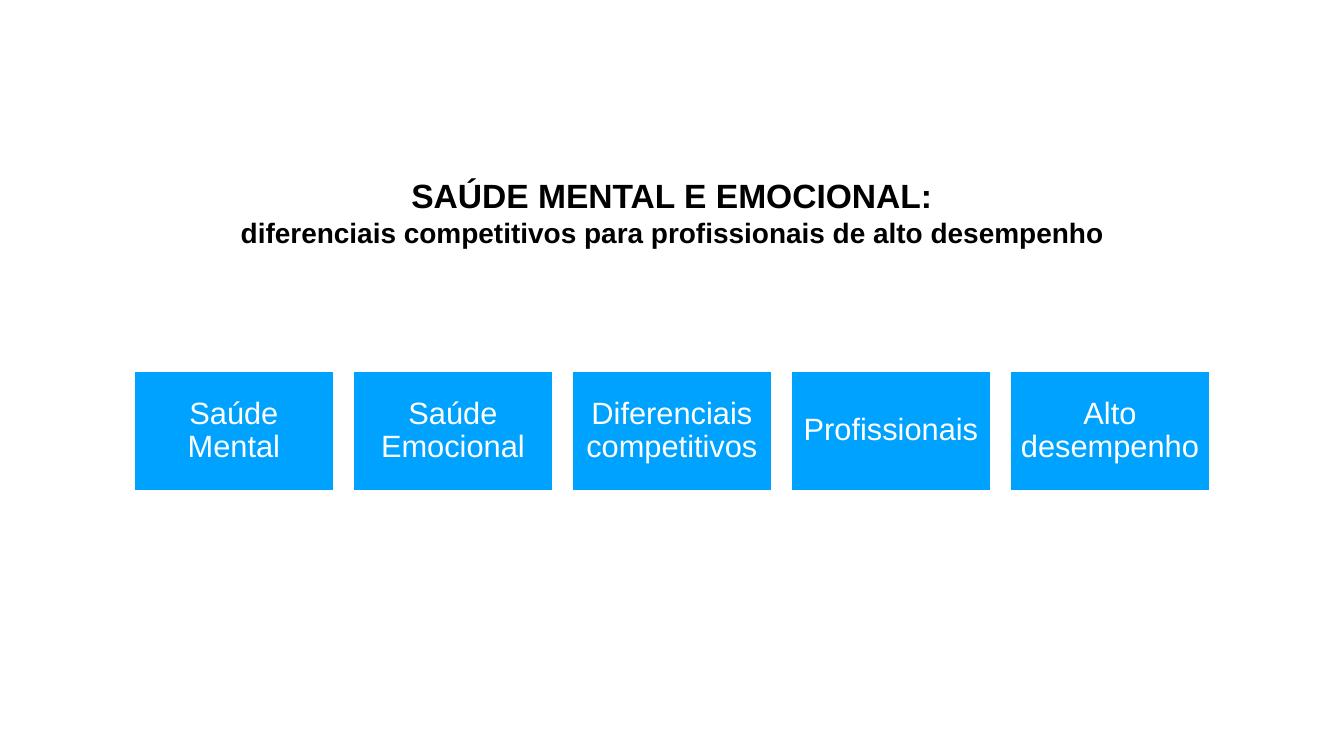
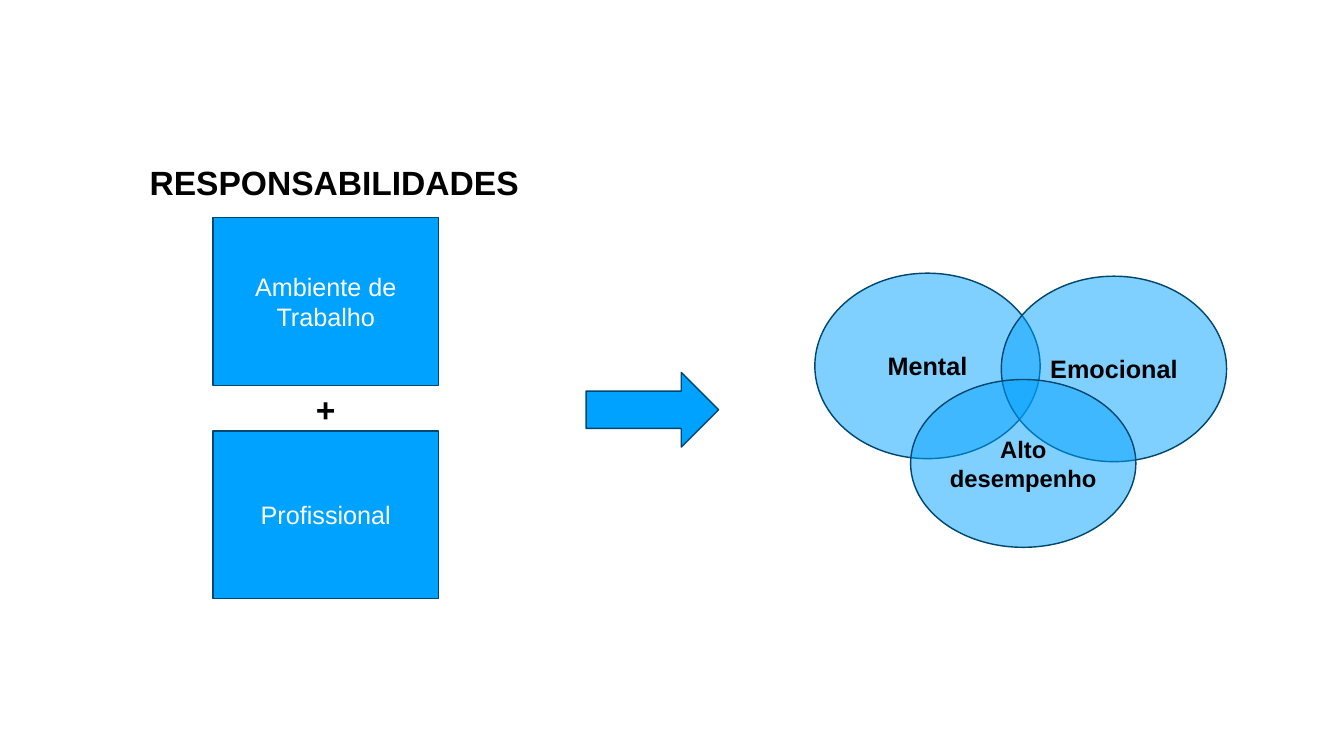
from dataclasses import dataclass
from lxml import etree
from pptx import Presentation
from pptx.dml.color import RGBColor
from pptx.enum.shapes import MSO_SHAPE
from pptx.enum.text import MSO_ANCHOR, PP_ALIGN
from pptx.oxml.ns import qn
from pptx.util import Inches, Pt

RECT, OVAL, ARROW = MSO_SHAPE.RECTANGLE, MSO_SHAPE.OVAL, MSO_SHAPE.RIGHT_ARROW
TOP, MIDDLE, CENTER = MSO_ANCHOR.TOP, MSO_ANCHOR.MIDDLE, PP_ALIGN.CENTER
WIDE, HIGH = 26.67, 15


@dataclass(frozen=True)
class Theme:
    font: str = "Arial"
    blue: str = "00A2FF"
    navy: str = "004770"
    white: str = "FFFFFF"
    black: str = "000000"
    title: int = 48
    sub: int = 40
    tile: int = 44
    label: int = 36
    small: int = 34
    line: int = 2


THEME = Theme()

TITLE = [
    ("SAÚDE MENTAL E EMOCIONAL:", THEME.title),
    ("diferenciais competitivos para profissionais de alto desempenho", THEME.sub),
]
TILES = [
    "Saúde Mental",
    "Saúde Emocional",
    "Diferenciais competitivos",
    "Profissionais",
    "Alto desempenho",
]
DUTIES = ["Ambiente de Trabalho", "Profissional"]
HEAD, PLUS = "RESPONSABILIDADES", "+"
CIRCLES = [
    ("Mental", THEME.label, 16.17, 5.42, 3.68),
    ("Emocional", THEME.label, 19.87, 5.48, 3.68),
    ("Alto desempenho", THEME.small, 18.07, 7.53, 3.33),
]
BOX_W, BOX_H = 4.47, 3.33
BOX_X, BOX_Y, STEP = 4.23, 4.32, 4.23


def write(shape, lines, color=THEME.black, bold=True, anchor=MIDDLE,
          pad=(0.1, 0.05), space=None):
    frame = shape.text_frame
    frame.word_wrap = True
    frame.vertical_anchor = anchor
    frame.margin_left = frame.margin_right = Inches(pad[0])
    frame.margin_top = frame.margin_bottom = Inches(pad[1])
    for i, (text, size) in enumerate(lines):
        para = frame.add_paragraph() if i else frame.paragraphs[0]
        para.alignment = CENTER
        if space:
            para.line_spacing = space
        run = para.add_run()
        run.text = text
        run.font.name = THEME.font
        run.font.size = Pt(size)
        run.font.bold = bold
        run.font.color.rgb = RGBColor.from_string(color)


def label(slide, area, lines):
    box = slide.shapes.add_textbox(*map(Inches, area))
    write(box, lines, anchor=TOP, pad=(0.1, 0.1))


def draw(slide, kind, area, edge=THEME.navy, alpha=None):
    shape = slide.shapes.add_shape(kind, *map(Inches, area))
    shape.shadow.inherit = False
    shape.fill.solid()
    shape.fill.fore_color.rgb = RGBColor.from_string(THEME.blue)
    if alpha:
        tint = shape.element.spPr.find(qn("a:solidFill")).find(qn("a:srgbClr"))
        etree.SubElement(tint, qn("a:alpha")).set("val", str(alpha * 1000))
    shape.line.color.rgb = RGBColor.from_string(edge)
    shape.line.width = Pt(THEME.line)
    return shape


def themes(slide):
    label(slide, (0, 3.38, WIDE, 1.68), TITLE)
    count = len(TILES)
    left = WIDE * 0.1
    wide = WIDE * 0.8 / (count + (count - 1) * 0.1)
    for i, text in enumerate(TILES):
        area = (left + i * wide * 1.1, 7.36, wide, wide * 0.6)
        tile = draw(slide, RECT, area, edge=THEME.white)
        write(tile, [(text, THEME.tile)], color=THEME.white, bold=False,
              pad=(0.18, 0.18), space=0.9)


def duties(slide):
    for i, text in enumerate(DUTIES):
        box = draw(slide, RECT, (BOX_X, BOX_Y + i * STEP, BOX_W, BOX_H))
        write(box, [(text, THEME.label)], color=THEME.white, bold=False)
    label(slide, (1.87, 3.12, 9.53, 1.01), [(HEAD, THEME.title)])
    label(slide, (BOX_X, 7.62, BOX_W, 1.01), [(PLUS, THEME.title)])
    draw(slide, ARROW, (11.63, 7.39, 2.63, 1.48))
    for text, size, left, top, high in CIRCLES:
        oval = draw(slide, OVAL, (left, top, BOX_W, high), alpha=50)
        write(oval, [(text, size)])


def main():
    deck = Presentation()
    deck.slide_width, deck.slide_height = Inches(WIDE), Inches(HIGH)
    for build in (themes, duties):
        build(deck.slides.add_slide(deck.slide_layouts[6]))
    deck.save("out.pptx")


if __name__ == "__main__":
    main()
